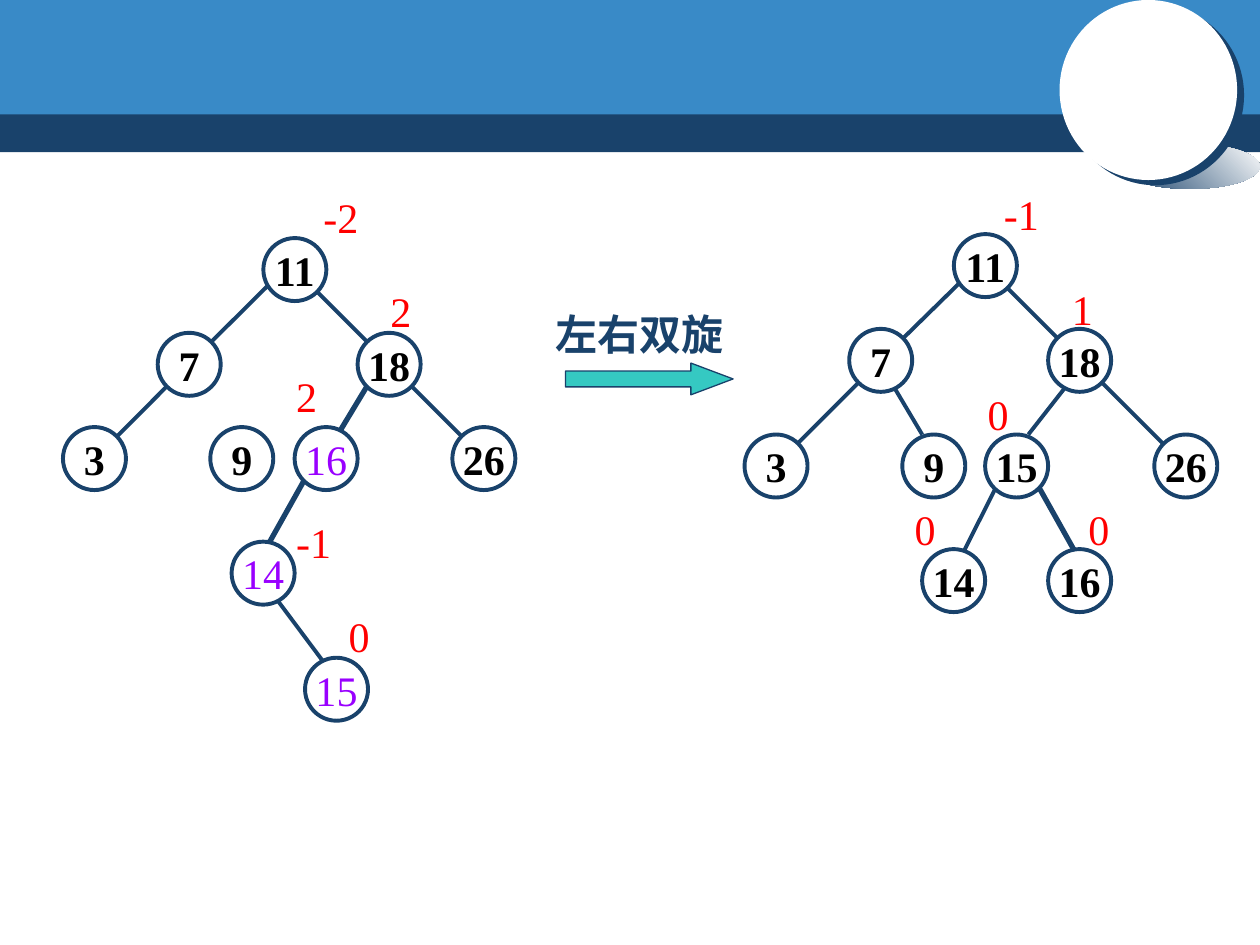
from lxml import etree
from pptx import Presentation
from pptx.dml.color import RGBColor
from pptx.enum.shapes import MSO_CONNECTOR, MSO_SHAPE
from pptx.enum.text import MSO_ANCHOR, MSO_AUTO_SIZE, PP_ALIGN
from pptx.oxml.ns import qn
from pptx.util import Cm, Pt

RECT, OVAL, ARROW = MSO_SHAPE.RECTANGLE, MSO_SHAPE.OVAL, MSO_SHAPE.RIGHT_ARROW
LINE = MSO_CONNECTOR.STRAIGHT
MIDDLE, CENTER = MSO_ANCHOR.MIDDLE, PP_ALIGN.CENTER
GROW = MSO_AUTO_SIZE.SHAPE_TO_FIT_TEXT

NAVY = RGBColor(0x19, 0x42, 0x6B)
BLUE = RGBColor(0x39, 0x8A, 0xC7)
TEAL = RGBColor(0x35, 0xC9, 0xC2)
RED = RGBColor(0xFF, 0, 0)
PURPLE = RGBColor(0x99, 0, 0xFF)
BLACK = RGBColor(0, 0, 0)
WHITE = RGBColor(0xFF, 0xFF, 0xFF)

FONT = "Times New Roman"
SIZE = 1.27  # node diameter and label height, cm
THIN, THICK = 2.25, 3

# Edges: x1, y1, x2, y2, width. Nodes: key, left, top. Factors: value, left, top.
BEFORE = {
    "edges": [
        (6.35, 5.84, 7.62, 7.11, THIN), (6.15, 9.65, 5.31, 11.15, THICK),
        (7.42, 7.75, 6.78, 8.81, THICK), (5.51, 11.99, 6.78, 13.69, THIN),
        (8.26, 7.75, 9.53, 9.02, THIN), (3.61, 7.54, 1.91, 9.25, THIN),
        (5.72, 5.44, 4.24, 6.91, THIN),
    ],
    "nodes": [
        ("11", 5.31, 4.8), ("7", 3.18, 6.71), ("18", 7.21, 6.71),
        ("3", 1.27, 8.61), ("9", 4.24, 8.61), ("16", 5.94, 8.61),
        ("26", 9.12, 8.61), ("14", 4.67, 10.92), ("15", 6.15, 13.26),
    ],
    "factors": [
        ("-2", 6.27, 3.73), ("2", 7.62, 5.64), ("2", 5.72, 7.34),
        ("-1", 5.72, 10.29), ("0", 6.78, 12.19),
    ],
    "turned": {"14", "15", "16"},
}
AFTER = {
    "edges": [
        (21.56, 7.7, 20.73, 8.76, THIN), (20.29, 5.79, 21.56, 7.06, THIN),
        (19.46, 5.59, 17.96, 7.06, THIN), (20.93, 9.8, 22, 11.71, THICK),
        (17.96, 7.7, 18.59, 8.76, THIN), (20.09, 9.8, 19.23, 11.51, THIN),
        (17.32, 7.7, 16.05, 8.97, THIN), (22.2, 7.7, 24.1, 9.6, THIN),
    ],
    "nodes": [
        ("11", 19.23, 4.72), ("7", 17.12, 6.63), ("18", 21.13, 6.63),
        ("3", 15.01, 8.76), ("9", 18.19, 8.76), ("15", 19.86, 8.76),
        ("26", 23.27, 8.76), ("14", 18.59, 11.07), ("16", 21.13, 11.07),
    ],
    "factors": [
        ("-1", 19.99, 3.68), ("1", 21.36, 5.59), ("0", 19.66, 7.7),
        ("0", 18.19, 10.03), ("0", 21.69, 10.03),
    ],
    "turned": set(),
}


def add_form(shapes, kind, box, fill, width=0):
    """Add a flat preset shape, outlined in navy if width is given."""
    form = shapes.add_shape(kind, *map(Cm, box))
    form.shadow.inherit = False
    form.fill.solid()
    form.fill.fore_color.rgb = fill
    if width:
        form.line.color.rgb = NAVY
        form.line.width = Pt(width)
    else:
        form.line.fill.background()
    return form


def set_text(shape, text, color, bold=False, wrap=False):
    frame = shape.text_frame
    frame.word_wrap = wrap
    frame.text = text
    font = frame.paragraphs[0].runs[0].font
    font.name, font.size, font.bold = FONT, Pt(24), bold
    font.color.rgb = color


def add_label(shapes, text, box, color, bold=False, wrap=False):
    label = shapes.add_textbox(*map(Cm, box))
    set_text(label, text, color, bold, wrap)
    label.text_frame.auto_size = GROW


def add_edge(shapes, x1, y1, x2, y2, width):
    edge = shapes.add_connector(LINE, Cm(x1), Cm(y1), Cm(x2), Cm(y2))
    edge.line.color.rgb = NAVY
    edge.line.width = Pt(width)
    etree.SubElement(edge._element.spPr, qn("a:effectLst"))


def add_node(shapes, key, left, top, turned):
    node = add_form(shapes, OVAL, (left, top, SIZE, SIZE), WHITE, THIN)
    set_text(node, key, PURPLE if turned else BLACK, bold=not turned)
    node.text_frame.vertical_anchor = MIDDLE
    node.text_frame.paragraphs[0].alignment = CENTER


def add_tree(slide, tree):
    shapes = slide.shapes.add_group_shape().shapes
    for edge in tree["edges"]:
        add_edge(shapes, *edge)
    for key, left, top in tree["nodes"]:
        add_node(shapes, key, left, top, key in tree["turned"])
    for text, left, top in tree["factors"]:
        width = 0.94 if len(text) == 1 else 1.22
        add_label(shapes, text, (left, top, width, SIZE), RED)


def cast_shadow(shape):
    """Give the shape a hard navy shadow to the lower right."""
    effects = shape._element.spPr.find(qn("a:effectLst"))
    shadow = etree.SubElement(effects, qn("a:outerShdw"), blurRad="0",
                              dist="63500", dir="2220000", algn="ctr",
                              rotWithShape="0")
    etree.SubElement(shadow, qn("a:srgbClr"), val=str(NAVY))


def add_banner(slide):
    add_form(slide.shapes, RECT, (0, 2.21, 25.4, 0.86), NAVY)
    add_form(slide.shapes, RECT, (0, 0, 25.4, 2.31), BLUE)
    shapes = slide.shapes.add_group_shape().shapes
    shade = add_form(shapes, OVAL, (22.58, 2.9, 2.82, 0.91), NAVY)
    shade.fill.gradient()
    shade.fill.gradient_angle = 45
    for stop, color in zip(shade.fill.gradient_stops, (NAVY, WHITE)):
        stop.color.rgb = color
    disc = add_form(shapes, OVAL, (21.36, 0, 3.58, 3.63), WHITE)
    cast_shadow(disc)
    add_form(shapes, OVAL, (22.56, 1.27, 1.27, 1.24), WHITE)


def add_step(slide):
    arrow = add_form(slide.shapes, ARROW, (11.4, 7.32, 3.38, 0.64), TEAL, 0.75)
    arrow.adjustments[0] = 0.5
    arrow.adjustments[1] = 1.33
    add_label(slide.shapes, "左右双旋", (10.95, 6.1, 4.55, SIZE), NAVY,
              bold=True, wrap=True)


def main():
    deck = Presentation()
    deck.slide_width, deck.slide_height = Cm(25.4), Cm(19.05)
    slide = deck.slides.add_slide(deck.slide_layouts[6])
    add_banner(slide)
    add_tree(slide, BEFORE)
    add_step(slide)
    add_tree(slide, AFTER)
    deck.save("out.pptx")


if __name__ == "__main__":
    main()
